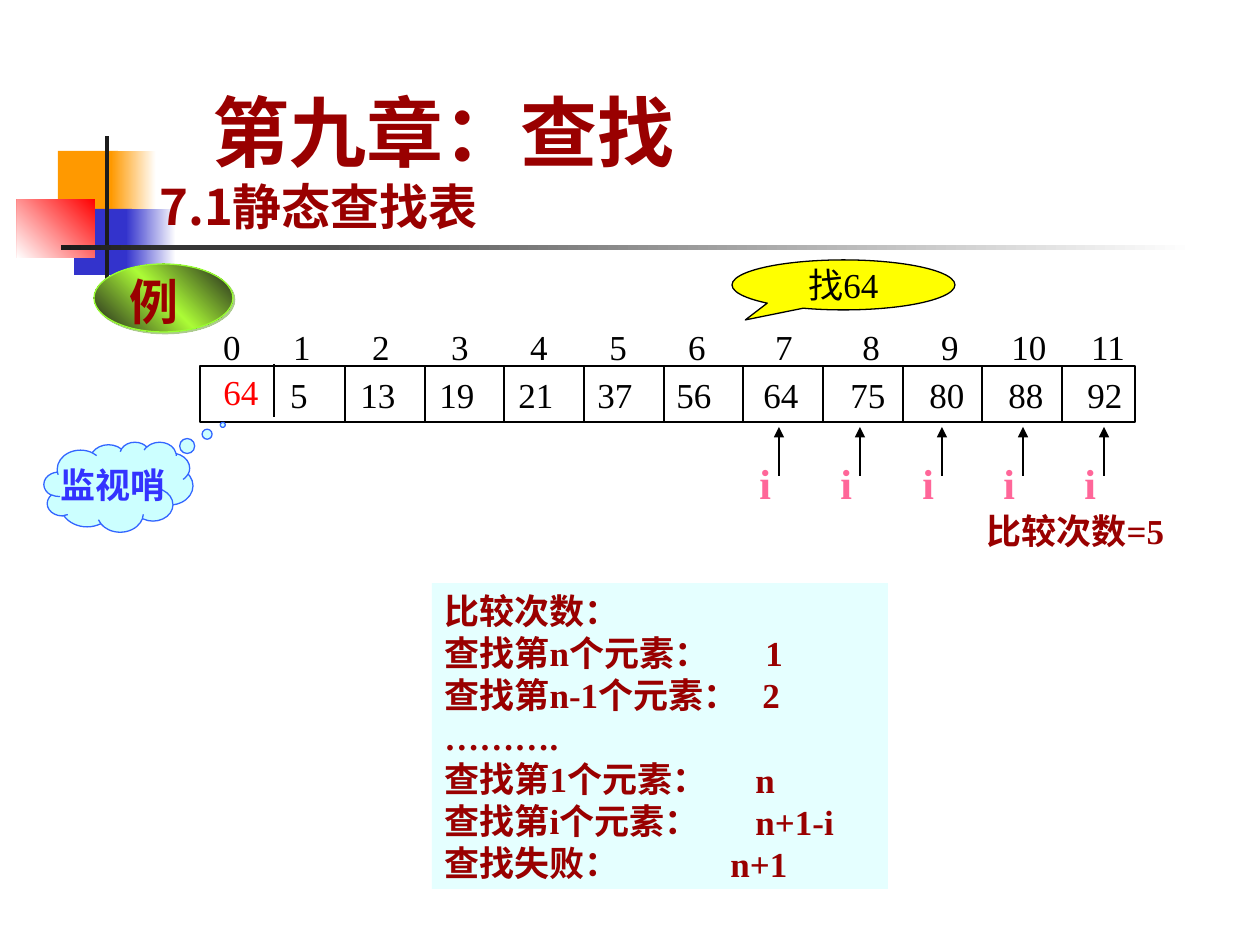
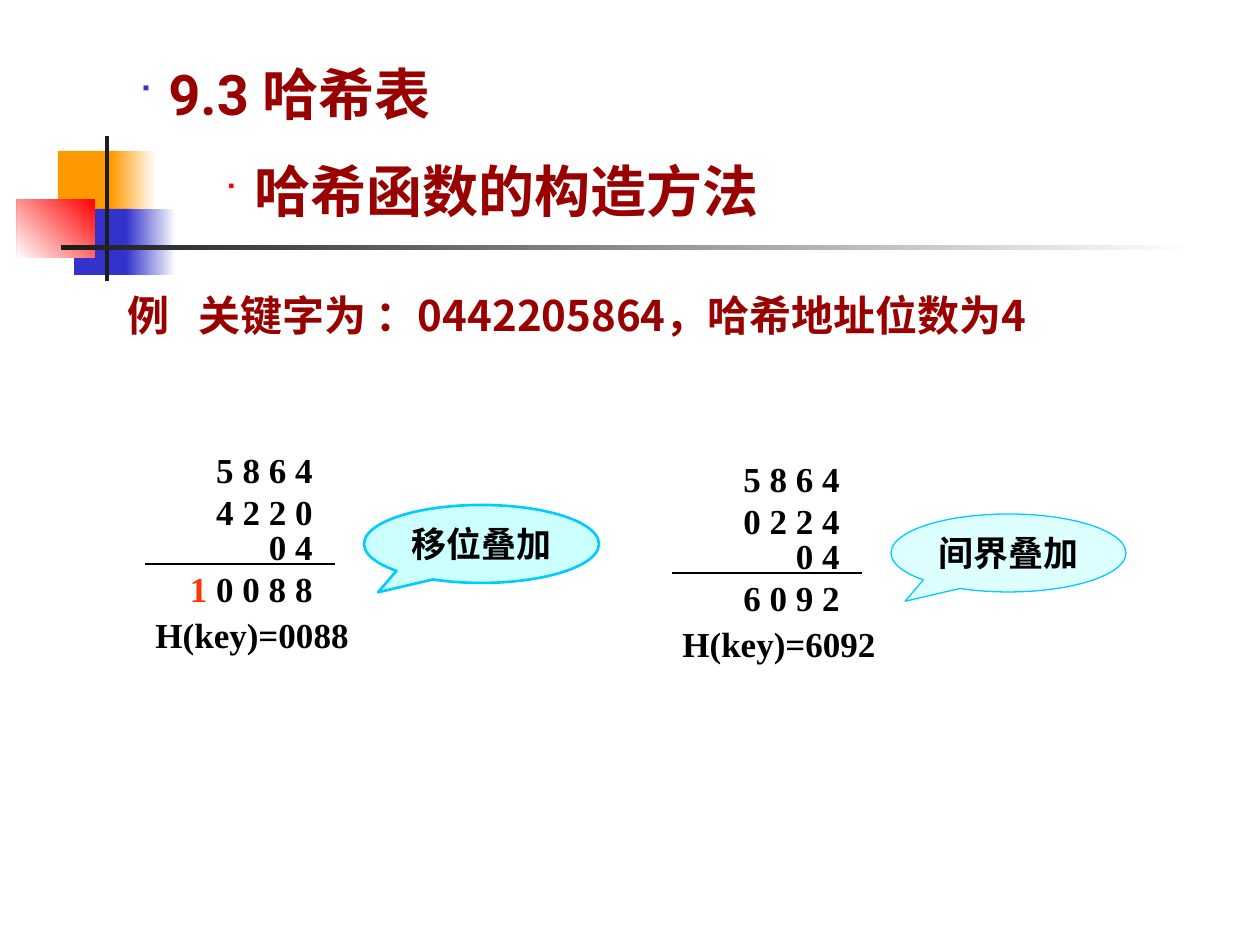
"""Build two lecture slides: sequential search with a sentinel, and folding hash functions."""
from lxml import etree
from pptx import Presentation, util as u
from pptx.dml.color import RGBColor
from pptx.enum import shapes, text
from pptx.oxml.ns import qn

COLOR = dict(title="990000", black="000000", ink="1C1C1C", white="FFFFFF", orange="FF9900",
             blue="3333CC", red="FF0000", yellow="FFFF00", pale="CCFFFF", cyan="00CCFF",
             pink="FF6699", cloud_line="3366FF", cloud_text="3333FF", lime="ACFC36",
             lime_line="99FF33", lime_shadow="5B981E", carry="FF3300")
SERIF, SANS, HEAD = "Times New Roman", "Noto Sans CJK SC", "Roboto"
KIND = shapes.MSO_SHAPE
LEFT, CENTER, RIGHT = text.PP_ALIGN.LEFT, text.PP_ALIGN.CENTER, text.PP_ALIGN.RIGHT
TOP, MIDDLE, BOTTOM = text.MSO_ANCHOR.TOP, text.MSO_ANCHOR.MIDDLE, text.MSO_ANCHOR.BOTTOM

BANDS = [
    ((58, 151, 60, 66), ["orange"], 0),
    ((111, 151, 45, 66), ["white", "orange"], 180),
    ((74, 209, 58, 66), ["blue"], 0),
    ((126, 209, 50, 66), ["white", "blue"], 180),
    ((17, 199, 78, 59), ["red", "white"], 135),
    ((105, 136, 4, 145), ["ink"], 0),
    ((61, 245, 1134, 5), ["white", "ink"], 180),
]
SENTINEL = 64
KEYS = [5, 13, 19, 21, 37, 56, 64, 75, 80, 88, 92]
PROBES = 5
COSTS = [
    ("比较次数：", "", 0),
    ("查找第n个元素：", "1", 753),
    ("查找第n-1个元素：", "2", 750),
    ("……….", "", 0),
    ("查找第1个元素：", "n", 743),
    ("查找第i个元素：", "n+1-i", 743),
    ("查找失败：", "n+1", 718),
]
FOLDS = [
    dict(shift=(0, 0), addends=["5 8 6 4", "4 2 2 0", "0 4"], carry="1", total=" 0 0 8 8",
         address="H(key)=0088", method="移位叠加", weight=1.5, alpha=100),
    dict(shift=(527, 9), addends=["5 8 6 4", "0 2 2 4", "0 4"], carry="", total="6 0 9 2",
         address="H(key)=6092", method="间界叠加", weight=0.75, alpha=66),
]
ADDEND_TOPS = [442, 484, 519]


def px(n):
    return u.Emu(round(n * 914400 / 126))


def rgb(name):
    return RGBColor.from_string(COLOR[name])


def sub(parent, tag, **attrs):
    return etree.SubElement(parent, qn(tag), {k: str(v) for k, v in attrs.items()})


def tint(parent, name, alpha=100):
    color = sub(parent, "a:srgbClr", val=COLOR[name])
    if alpha < 100:
        sub(color, "a:alpha", val=alpha * 1000)


def paint(shape, colors, angle=0, alpha=100):
    if len(colors) == 1:
        shape.fill.solid()
        shape.fill.fore_color.rgb = rgb(colors[0])
        if alpha < 100:
            solid = shape.fill._xPr.find(qn("a:solidFill"))
            solid.clear()
            tint(solid, colors[0], alpha)
        return
    shape.fill.gradient()
    shape.fill.gradient_angle = 360 - angle
    stops = shape.fill._xPr.find(qn("a:gradFill")).find(qn("a:gsLst"))
    stops.clear()
    for i, name in enumerate(colors):
        tint(sub(stops, "a:gs", pos=100000 * i // (len(colors) - 1)), name)


def add_shape(slide, kind, box, colors=(), line=None, weight=0.75, angle=0, alpha=100, adjust=()):
    shape = slide.shapes.add_shape(kind, *map(px, box))
    shape.shadow.inherit = False
    if colors:
        paint(shape, colors, angle, alpha)
    else:
        shape.fill.background()
    if line:
        shape.line.color.rgb = rgb(line)
        shape.line.width = u.Pt(weight)
    else:
        shape.line.fill.background()
    for i, value in enumerate(adjust):
        shape.adjustments[i] = value
    return shape


def add_line(slide, start, end, arrow=False):
    line = slide.shapes.add_connector(shapes.MSO_CONNECTOR.STRAIGHT, *map(px, start + end))
    line.line.color.rgb = rgb("black")
    line.line.width = u.Pt(0.75)
    if arrow:
        sub(line.line._get_or_add_ln(), "a:tailEnd", type="triangle")
    sub(line._element.spPr, "a:effectLst")


def write(shape, runs, size=20, color="black", bold=True, font=SERIF, align=LEFT, anchor=TOP,
          wrap=True, indent=0, bullet=None, more=False):
    """Write one paragraph; runs is a string or a list of (words, colour)."""
    frame = shape.text_frame
    frame.word_wrap, frame.vertical_anchor = wrap, anchor
    para = frame.add_paragraph() if more else frame.paragraphs[0]
    para.alignment = align
    props = para._p.get_or_add_pPr()
    props.set("marL", str(px(indent)))
    props.set("indent", str(px(-30 if bullet else 0)))
    if bullet:
        para.space_before = u.Pt(8)
        bullet_color, bullet_size = bullet
        tint(sub(props, "a:buClr"), bullet_color)
        sub(props, "a:buSzPct", val=bullet_size * 1000)
        sub(props, "a:buFont", typeface="Wingdings")
        sub(props, "a:buChar", char="■")
    for words, shade in [(runs, color)] if isinstance(runs, str) else runs:
        run = para.add_run()
        run.text = words
        for name, value in dict(name=font, size=u.Pt(size), bold=bold).items():
            setattr(run.font, name, value)
        run.font.color.rgb = rgb(shade)
        sub(run._r.get_or_add_rPr(), "a:ea", typeface=SANS)


def label(slide, box, runs, **fmt):
    shape = slide.shapes.add_textbox(*map(px, box))
    write(shape, runs, **fmt)
    return shape


def callout(slide, kind, box, words, color="black", bold=True, **look):
    shape = add_shape(slide, kind, box, **look)
    write(shape, words, color=color, bold=bold, align=CENTER, anchor=MIDDLE, wrap=False)


def new_slide(prs):
    slide = prs.slides.add_slide(prs.slide_layouts[6])
    for box, colors, angle in BANDS:
        add_shape(slide, KIND.RECTANGLE, box, colors, angle=angle)
    return slide


def key_array(slide):
    add_shape(slide, KIND.RECTANGLE, (200, 366, 935, 56), line="black")
    add_line(slide, (274, 364), (274, 417))
    for k in range(len(KEYS) - 1):
        x = round(345 + 79.67 * k)
        add_line(slide, (x, 366), (x, 422))
    cell = dict(bold=False, align=CENTER)
    label(slide, (197, 319, 70, 55), "0", **cell)
    label(slide, (206, 364, 70, 55), str(SENTINEL), color="red", **cell)
    for k, key in enumerate(KEYS):
        left = 264 + 79 * k + 8 * (k >= 6) + 8 * (k >= 7)
        label(slide, (left + 3, 319, 70, 55), str(k + 1), **cell)
        label(slide, (left, 367, 70, 55), str(key), **cell)
    for k in range(PROBES):
        x = round(779 + 81.25 * k)
        add_line(slide, (x, 476), (x, 427), arrow=True)
        label(slide, (x - 32, 451, 40, 63), "i", size=24, color="pink")


def search_slide(prs):
    slide = new_slide(prs)
    key_array(slide)
    callout(slide, KIND.OVAL_CALLOUT, (732, 260, 223, 50), "找64", bold=False,
            colors=["yellow"], line="black", adjust=(-0.44, 0.7))
    callout(slide, KIND.CLOUD_CALLOUT, (44, 442, 149, 90), "监视哨", color="cloud_text",
            colors=["pale"], line="cloud_line", adjust=(0.7, -0.69))
    label(slide, (974, 503, 225, 55), f"比较次数={PROBES}", color="title")

    costs = add_shape(slide, KIND.RECTANGLE, (432, 583, 456, 306), ["pale"], alpha=50)
    for i, (case, count, left) in enumerate(COSTS):
        write(costs, case, color="title", more=i > 0)
        if count:
            label(slide, (left, round(583 + 42.2 * i), 130, 55), count, color="title")

    oval = add_shape(slide, KIND.OVAL, (94, 264, 139, 68), ["ink", "lime", "ink"],
                     line="lime_line", angle=135)
    effects = oval._element.spPr.find(qn("a:effectLst"))
    tint(sub(effects, "a:outerShdw", dist=u.Pt(1.4), dir=45 * 60000), "lime_shadow", 50)
    label(slide, (117, 265, 80, 72), "例", size=28, color="title")

    heading = dict(color="title", font=SANS, anchor=BOTTOM)
    title = label(slide, (147, 84, 1074, 158), "第九章：查找", size=44, indent=53, **heading)
    write(title, "7.1静态查找表", size=28, more=True, **heading)


def hash_slide(prs):
    slide = new_slide(prs)
    for left, width, words in [(115, 80, "例"),
                               (186, 960, "关键字为 ：0442205864，哈希地址位数为4")]:
        label(slide, (left, 283, width, 63), words, size=24, color="title", font=SANS)
    for fold in FOLDS:
        dx, dy = fold["shift"]
        digits = list(zip(ADDEND_TOPS, fold["addends"]))
        digits.append((561, [(fold["carry"], "carry"), (fold["total"], "black")]))
        for top, runs in digits:
            label(slide, (145 + dx, top + dy, 180, 55), runs, align=RIGHT)
        add_line(slide, (145 + dx, 564 + dy), (335 + dx, 564 + dy))
        label(slide, (143 + dx, 607 + dy, 230, 55), fold["address"])
        callout(slide, KIND.OVAL_CALLOUT, (364 + dx, 505 + dy, 235, 78), fold["method"],
                colors=["pale"], line="cyan", weight=fold["weight"], alpha=fold["alpha"],
                adjust=(-0.44, 0.62))
    heading = dict(size=32, color="title", font=HEAD)
    label(slide, (179, 150, 689, 81), "哈希函数的构造方法", indent=63, bullet=("red", 55), **heading)
    label(slide, (126, 53, 455, 81), "9.3 哈希表", indent=30, bullet=("blue", 60), **heading)


def main():
    prs = Presentation()
    prs.slide_width, prs.slide_height = px(1260), px(945)
    search_slide(prs)
    hash_slide(prs)
    prs.save("out.pptx")


if __name__ == "__main__":
    main()
